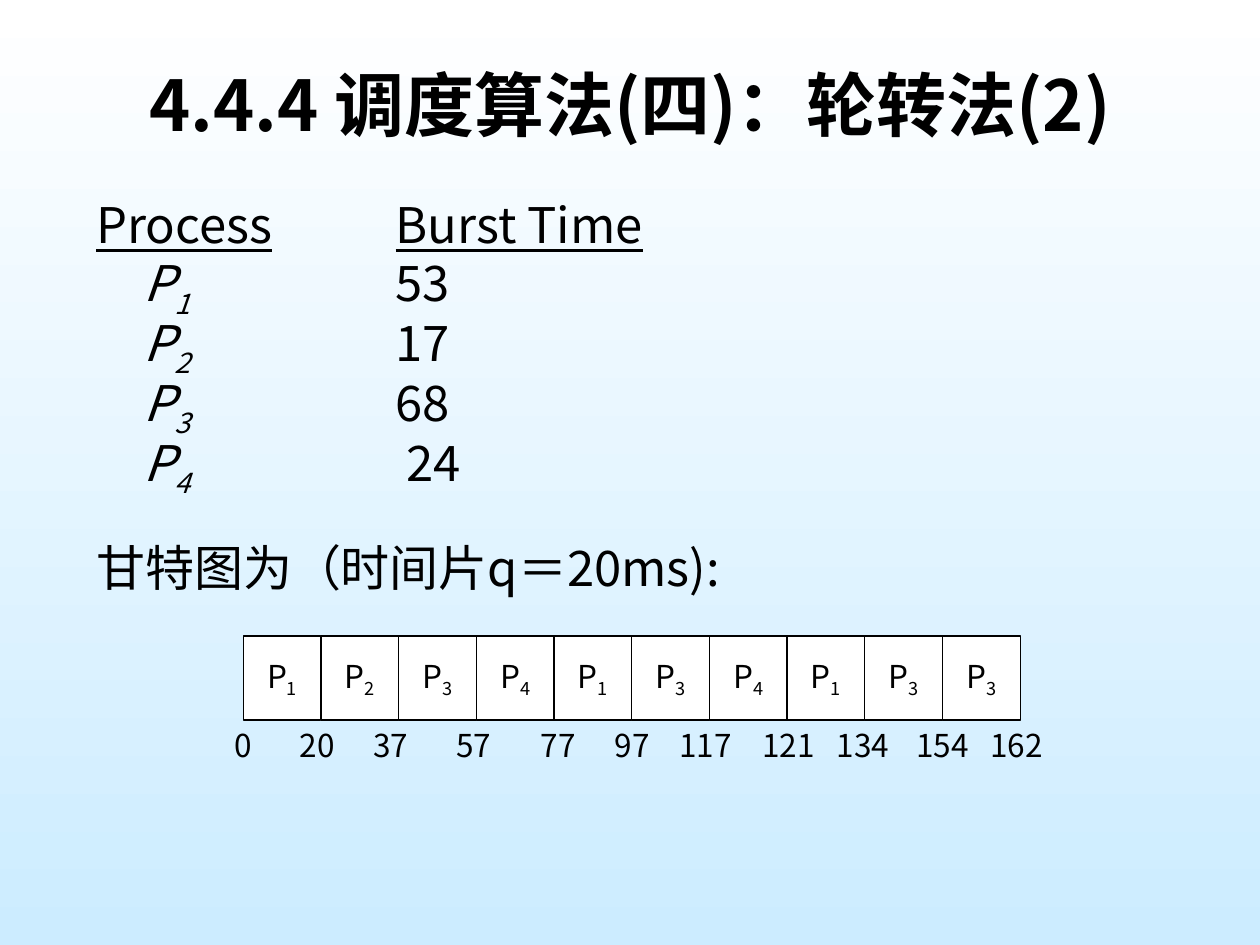
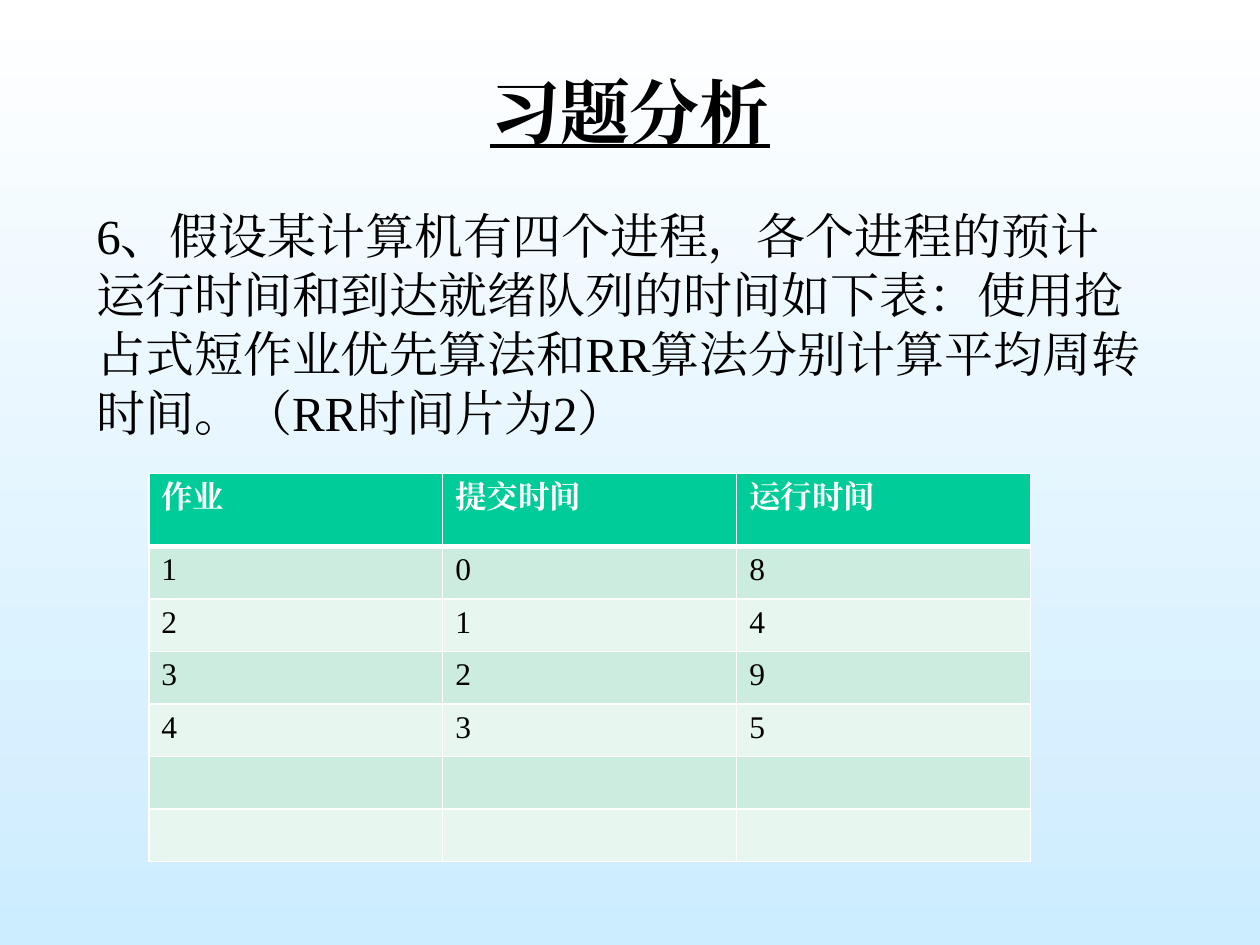
from lxml.etree import SubElement
from pptx import Presentation
from pptx.dml.color import RGBColor
from pptx.enum.shapes import MSO_SHAPE
from pptx.enum.text import MSO_ANCHOR, PP_ALIGN
from pptx.oxml import parse_xml
from pptx.oxml.ns import nsdecls, qn
from pptx.util import Pt

COLORS = {"ink": "000000", "white": "FFFFFF", "sky": "CCECFF",
          "header": "00CC99", "band_dark": "CBECDE", "band_light": "E7F6EF"}
SANS, SERIF = "Noto Sans CJK SC", "Times New Roman"
TITLE_BOX = (54, 18, 612, 90)
BODY_LEFT, BODY_TOP, BODY_WIDTH = 48, 114, 612
SUBSCRIPT = "-25000"

BURSTS = [("1", "53"), ("2", "17"), ("3", "68"), ("4", " 24")]
GANTT_ORDER = "1234134133"
# Time marks and their centres, measured from the left end of the chart
TIME_MARKS = [(0, 0), (20, 42.4), (37, 84.2), (57, 131.7), (77, 180),
              (97, 222.4), (117, 264.2), (121, 311.7), (134, 354.2),
              (154, 399.6), (162, 442)]
JOBS = [("作业", "提交时间", "运行时间"), ("1", "0", "8"), ("2", "1", "4"),
        ("3", "2", "9"), ("4", "3", "5"), ("", "", ""), ("", "", "")]


def rgb(name):
    return RGBColor.from_string(COLORS[name])


def style_run(r, size, font, color="ink", bold=False, italic=False,
              underline=False, sub=False):
    r.font.size, r.font.name = Pt(size), font
    r.font.bold, r.font.italic, r.font.underline = bold, italic, underline
    r.font.color.rgb = rgb(color)
    rPr = r.font._element
    SubElement(rPr, qn("a:ea")).set("typeface", font)
    if sub:
        rPr.set("baseline", SUBSCRIPT)


def add_run(p, text, size, font, **style):
    r = p.add_run()
    r.text = text
    style_run(r, size, font, **style)


def add_text_box(shapes, box, wrap=True, anchor=MSO_ANCHOR.TOP):
    sp = shapes.add_textbox(*(Pt(v) for v in box))
    tf = sp.text_frame
    tf.word_wrap, tf.vertical_anchor = wrap, anchor
    return tf


def set_tabs(p, *stops):
    tabs = SubElement(p._p.get_or_add_pPr(), qn("a:tabLst"))
    for stop in stops:
        SubElement(tabs, qn("a:tab"), pos=str(Pt(stop)), algn="l")


def add_slide(prs, title, font, underline=False, spacing=1.0):
    s = prs.slides.add_slide(prs.slide_layouts[6])
    # Background, white to sky from top to bottom
    fill = s.background.fill
    fill.gradient()
    fill.gradient_angle = 270
    for stop, color, position in zip(fill.gradient_stops, ("white", "sky"), (0, 1)):
        stop.color.rgb, stop.position = rgb(color), position
    # Title
    tf = add_text_box(s.shapes, TITLE_BOX, anchor=MSO_ANCHOR.MIDDLE)
    p = tf.paragraphs[0]
    p.text = title
    p.alignment, p.line_spacing = PP_ALIGN.CENTER, spacing
    style_run(p.runs[0], 40, font, bold=True, underline=underline)
    return s


def add_burst_list(s, left, top, width, height):
    tf = add_text_box(s.shapes, (left, top, width, height))

    def add_line(p, before=3.6):
        p.line_spacing, p.space_before = 0.8, Pt(before)
        set_tabs(p, 27, 171)
        return p

    # Column heads
    p = add_line(tf.paragraphs[0])
    for text, underline in (("Process", True), ("\t", False), ("Burst Time", True)):
        add_run(p, text, 28, SANS, underline=underline)
    # One line for each process
    for number, burst in BURSTS:
        p = add_line(tf.add_paragraph())
        add_run(p, "\tP", 28, SANS, italic=True)
        add_run(p, number, 28, SANS, italic=True, sub=True)
        add_run(p, "\t" + burst, 28, SANS)
    # Caption of the Gantt chart
    p = add_line(tf.add_paragraph(), before=32.6)
    add_run(p, "甘特图为（时间片q＝20ms):", 28, SANS)


def add_gantt(s, left, top, width, height):
    shapes = s.shapes.add_group_shape().shapes
    step = width / len(GANTT_ORDER)
    # Time slices
    for i, number in enumerate(GANTT_ORDER):
        sp = shapes.add_shape(MSO_SHAPE.RECTANGLE, Pt(left + i * step), Pt(top),
                              Pt(step), Pt(height))
        sp.shadow.inherit = False
        sp.fill.solid()
        sp.fill.fore_color.rgb = rgb("white")
        sp.line.color.rgb, sp.line.width = rgb("ink"), Pt(0.75)
        tf = sp.text_frame
        tf.word_wrap, tf.vertical_anchor = False, MSO_ANCHOR.MIDDLE
        p = tf.paragraphs[0]
        p.alignment = PP_ALIGN.CENTER
        add_run(p, "P", 18, SANS)
        add_run(p, number, 18, SANS, sub=True)
    # Time marks below the slices
    for time, centre in TIME_MARKS:
        w = 15 + 10.3 * len(str(time))
        tf = add_text_box(shapes, (left + centre - w / 2, top + height - 0.5, w, 29),
                          wrap=False, anchor=MSO_ANCHOR.MIDDLE)
        p = tf.paragraphs[0]
        p.text = str(time)
        p.alignment = PP_ALIGN.CENTER
        style_run(p.runs[0], 18, SANS)


def set_borders(cell, top, bottom):
    tcPr = cell._tc.get_or_add_tcPr()
    for i, (side, width) in enumerate((("L", 1), ("R", 1), ("T", top), ("B", bottom))):
        tcPr.insert(i, parse_xml(
            f'<a:ln{side} {nsdecls("a")} w="{Pt(width)}"><a:solidFill>'
            f'<a:srgbClr val="{COLORS["white"]}"/></a:solidFill></a:ln{side}>'))


def add_question(s, left, top, width, height):
    tf = add_text_box(s.shapes, (left, top, width, height))
    p = tf.paragraphs[0]
    p.text = ("6、假设某计算机有四个进程，各个进程的预计运行时间和到达就绪队列的时间如下表："
              "使用抢占式短作业优先算法和RR算法分别计算平均周转时间。（RR时间片为2）")
    p.space_before = Pt(5.6)
    style_run(p.runs[0], 28, SERIF)


def add_job_table(s, left, top, width, header_height, row_height):
    height = header_height + row_height * (len(JOBS) - 1)
    table = s.shapes.add_table(len(JOBS), len(JOBS[0]), Pt(left), Pt(top),
                               Pt(width), Pt(height)).table
    for col in table.columns:
        col.width = Pt(width / len(JOBS[0]))
    for i, texts in enumerate(JOBS):
        head = i == 0
        table.rows[i].height = Pt(header_height if head else row_height)
        fill = "header" if head else "band_dark" if i % 2 else "band_light"
        for cell, text in zip(table.rows[i].cells, texts):
            cell.fill.solid()
            cell.fill.fore_color.rgb = rgb(fill)
            set_borders(cell, top=3 if i == 1 else 1, bottom=3 if head else 1)
            p = cell.text_frame.paragraphs[0]
            if text:
                p.text = text
                style_run(p.runs[0], 18, SERIF, bold=head,
                          color="white" if head else "ink")
            else:
                p.font.size = Pt(18)


def build_round_robin(prs):
    s = add_slide(prs, "4.4.4 调度算法(四)：轮转法(2)", SANS, spacing=0.85)
    add_burst_list(s, BODY_LEFT, BODY_TOP, BODY_WIDTH, 371.5)
    add_gantt(s, 139, 363.5, 444, 48)


def build_exercise(prs):
    s = add_slide(prs, "习题分析", SERIF, underline=True)
    add_question(s, BODY_LEFT, BODY_TOP, BODY_WIDTH, 324)
    add_job_table(s, 85, 270.7, 504, 41.5, 30)


def main():
    prs = Presentation()
    prs.slide_width, prs.slide_height = Pt(720), Pt(540)
    build_round_robin(prs)
    build_exercise(prs)
    prs.save("out.pptx")


if __name__ == "__main__":
    main()
